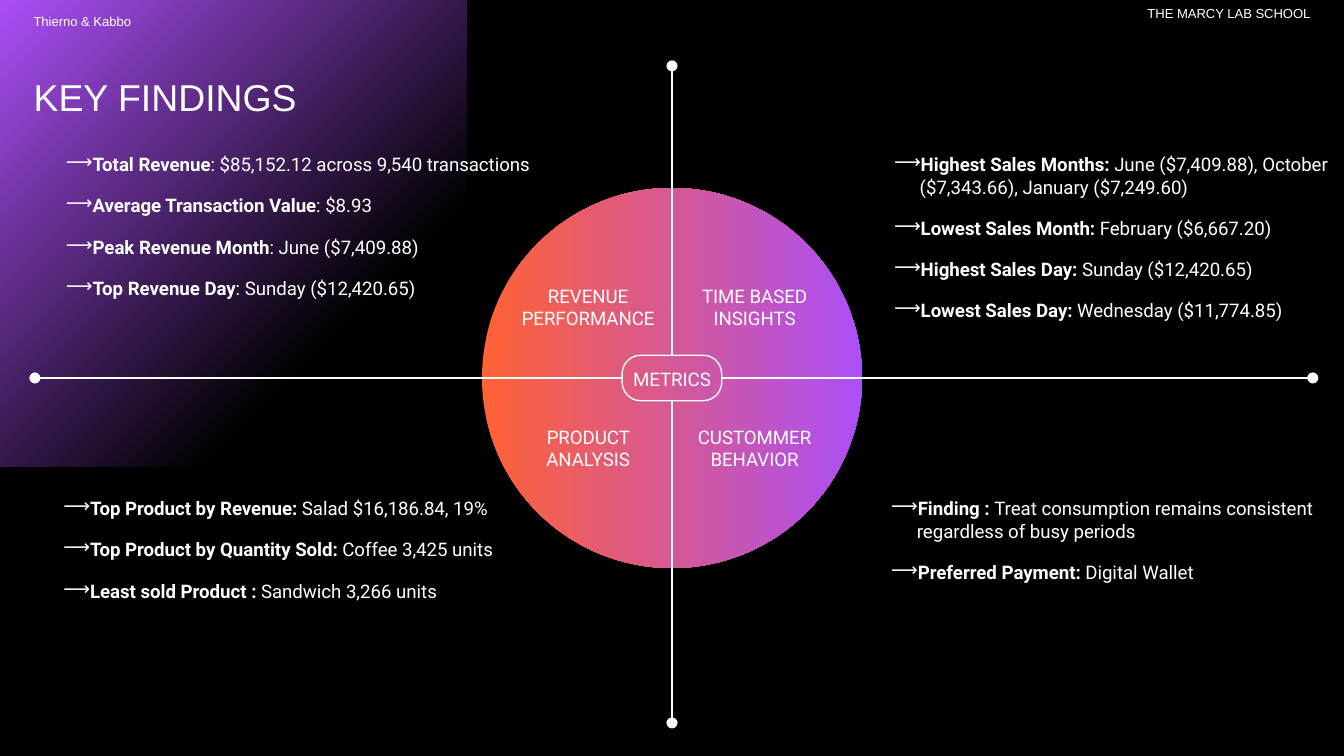
from collections import namedtuple

from lxml import etree
from pptx import Presentation
from pptx.dml.color import RGBColor
from pptx.enum.shapes import MSO_CONNECTOR, MSO_SHAPE
from pptx.enum.text import MSO_ANCHOR, PP_ALIGN
from pptx.oxml.ns import qn
from pptx.util import Pt

Box = namedtuple("Box", "left top width height")

BLACK = RGBColor(0x00, 0x00, 0x00)
WHITE = RGBColor(0xFF, 0xFF, 0xFF)
PURPLE = RGBColor(0xAB, 0x4F, 0xF6)
ORANGE = RGBColor(0xFF, 0x62, 0x34)

HEADER = {"name": "Arial", "size": Pt(7)}
TITLE = {"name": "Arial", "size": Pt(20)}
BODY = {"name": "Roboto", "size": Pt(10)}
BOLD = {**BODY, "bold": True}

FINDINGS = [
    (Box(26.6, 82.1, 257.8, 56), [
        ("Total Revenue", ": $85,152.12 across 9,540 transactions"),
        ("Average Transaction Value", ": $8.93"),
        ("Peak Revenue Month", ": June ($7,409.88)"),
        ("Top Revenue Day", ": Sunday ($12,420.65)"),
    ]),
    (Box(470.2, 82.1, 243.4, 56), [
        ("Highest Sales Months: ", "June ($7,409.88), October ($7,343.66), January ($7,249.60)"),
        ("Lowest Sales Month: ", "February ($6,667.20)"),
        ("Highest Sales Day: ", "Sunday ($12,420.65)"),
        ("Lowest Sales Day: ", "Wednesday ($11,774.85)"),
    ]),
    (Box(25.2, 266.4, 250.6, 56), [
        ("Top Product by Revenue: ", "Salad $16,186.84, 19%"),
        ("Top Product by Quantity Sold: ", "Coffee 3,425 units"),
        ("Least sold Product : ", "Sandwich 3,266 units"),
    ]),
    (Box(468.7, 266.4, 237.6, 56), [
        ("Finding : ", "Treat consumption remains consistent regardless of busy periods"),
        ("Preferred Payment: ", "Digital Wallet"),
    ]),
]
QUADRANTS = [
    ["REVENUE PERFORMANCE", "TIME BASED INSIGHTS"],
    ["PRODUCT ANALYSIS", "CUSTOMMER BEHAVIOR"],
]


def add_run(paragraph, text, values):
    run = paragraph.add_run()
    run.text = text
    run.font.color.rgb = WHITE
    for name, value in values.items():
        setattr(run.font, name, value)


def add_frame(slide, box, anchor=MSO_ANCHOR.TOP):
    frame = slide.shapes.add_textbox(*map(Pt, box)).text_frame
    values = {"word_wrap": True, "vertical_anchor": anchor, "margin_left": 0,
              "margin_right": 0, "margin_top": 0, "margin_bottom": 0}
    for name, value in values.items():
        setattr(frame, name, value)
    return frame


def add_label(slide, box, text, values, align=PP_ALIGN.LEFT, anchor=MSO_ANCHOR.MIDDLE):
    paragraph = add_frame(slide, box, anchor).paragraphs[0]
    paragraph.alignment = align
    add_run(paragraph, text, values)
    return paragraph


def add_gradient(slide, kind, box, angle, stops):
    shape = slide.shapes.add_shape(kind, *map(Pt, box))
    shape.shadow.inherit = False
    shape.line.fill.background()
    shape.fill.gradient()
    shape.fill.gradient_angle = angle
    for stop, (position, color) in zip(shape.fill.gradient_stops, stops):
        stop.position = position
        stop.color.rgb = color
    return shape


def add_spoke(slide, start, tip):
    spoke = slide.shapes.add_connector(MSO_CONNECTOR.STRAIGHT, *map(Pt, start + tip))
    spoke.line.color.rgb = WHITE
    spoke.line.width = Pt(0.75)
    etree.SubElement(spoke.line._get_or_add_ln(), qn("a:tailEnd"), type="oval")
    etree.SubElement(spoke._element.spPr, qn("a:effectLst"))


def add_findings(slide, box, findings):
    frame = add_frame(slide, box)
    for index, (term, detail) in enumerate(findings):
        paragraph = frame.add_paragraph() if index else frame.paragraphs[0]
        properties = paragraph._p.get_or_add_pPr()
        properties.set("marL", str(Pt(22.5)))
        properties.set("indent", str(Pt(-13.75)))
        color = etree.SubElement(properties, qn("a:buClr"))
        etree.SubElement(color, qn("a:srgbClr"), val=str(WHITE))
        etree.SubElement(properties, qn("a:buChar"), char="⟶")
        if index:
            paragraph.space_before = Pt(10)
        add_run(paragraph, term, BOLD)
        add_run(paragraph, detail, BODY)


def add_header(slide, box):
    add_gradient(slide, MSO_SHAPE.RECTANGLE, Box(box.left, box.top, 250, 250), 315,
                 [(0, PURPLE), (0.72, BLACK)])
    margin, width = 18, 196.6
    left = box.left + margin
    right = box.left + box.width - margin - width
    add_label(slide, Box(left, box.top + 4.4, width, 13.7), "Thierno & Kabbo", HEADER)
    add_label(slide, Box(right, box.top + 0.4, width, 13.7), "THE MARCY LAB SCHOOL",
              HEADER, PP_ALIGN.RIGHT)
    title = add_label(slide, Box(left, box.top + 36, 327.6, 36.7), "KEY FINDINGS", TITLE,
                      anchor=MSO_ANCHOR.TOP)
    title.line_spacing = 1.15


def add_wheel(slide, box):
    center_x = box.left + box.width / 2
    center_y = box.top + box.height / 2
    wheel = add_gradient(slide, MSO_SHAPE.ROUNDED_RECTANGLE, box, 0,
                         [(0, ORANGE), (1, PURPLE)])
    wheel.adjustments[0] = 0.5

    hub_width, hub_height = 53.4, 24.4
    hub_box = Box(center_x - hub_width / 2, center_y - hub_height / 2, hub_width, hub_height)
    hub = slide.shapes.add_shape(MSO_SHAPE.ROUNDED_RECTANGLE, *map(Pt, hub_box))
    hub.adjustments[0] = 0.41
    hub.shadow.inherit = False
    hub.fill.background()
    hub.line.color.rgb = WHITE
    hub.line.width = Pt(0.75)
    add_label(slide, Box(center_x - 23.4, center_y - 6.5, 46.8, 13.7), "METRICS", BODY,
              PP_ALIGN.CENTER)

    for side, reach in ((-1, 341.3), (1, 343.3)):
        add_spoke(slide, (center_x + side * hub_width / 2, center_y),
                  (center_x + side * reach, center_y))
    for side, reach in ((-1, 167.2), (1, 184.8)):
        add_spoke(slide, (center_x, center_y + side * hub_height / 2),
                  (center_x, center_y + side * reach))

    for labels, top in zip(QUADRANTS, (center_y - 44.8, center_y + 30.8)):
        for text, left in zip(labels, (center_x - 84.2, center_x + 5)):
            add_label(slide, Box(left, top, 78.5, 13.7), text, BODY, PP_ALIGN.CENTER)


def main():
    presentation = Presentation()
    presentation.slide_width = Pt(720)
    presentation.slide_height = Pt(405)
    slide = presentation.slides.add_slide(presentation.slide_layouts[6])
    slide.background.fill.solid()
    slide.background.fill.fore_color.rgb = BLACK
    add_header(slide, Box(0, 0, 720, 80))
    add_wheel(slide, Box(258.2, 100.7, 203.6, 203.6))
    for box, findings in FINDINGS:
        add_findings(slide, box, findings)
    presentation.save("out.pptx")


if __name__ == "__main__":
    main()
